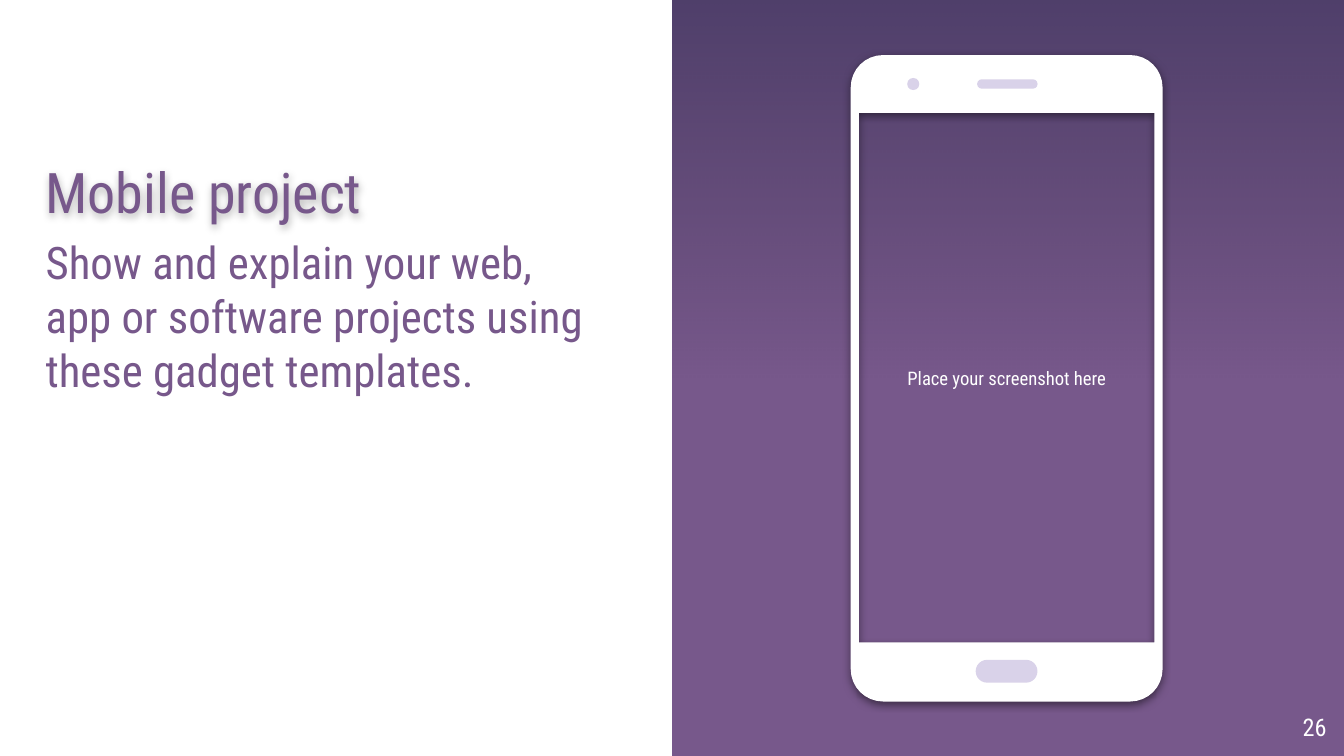
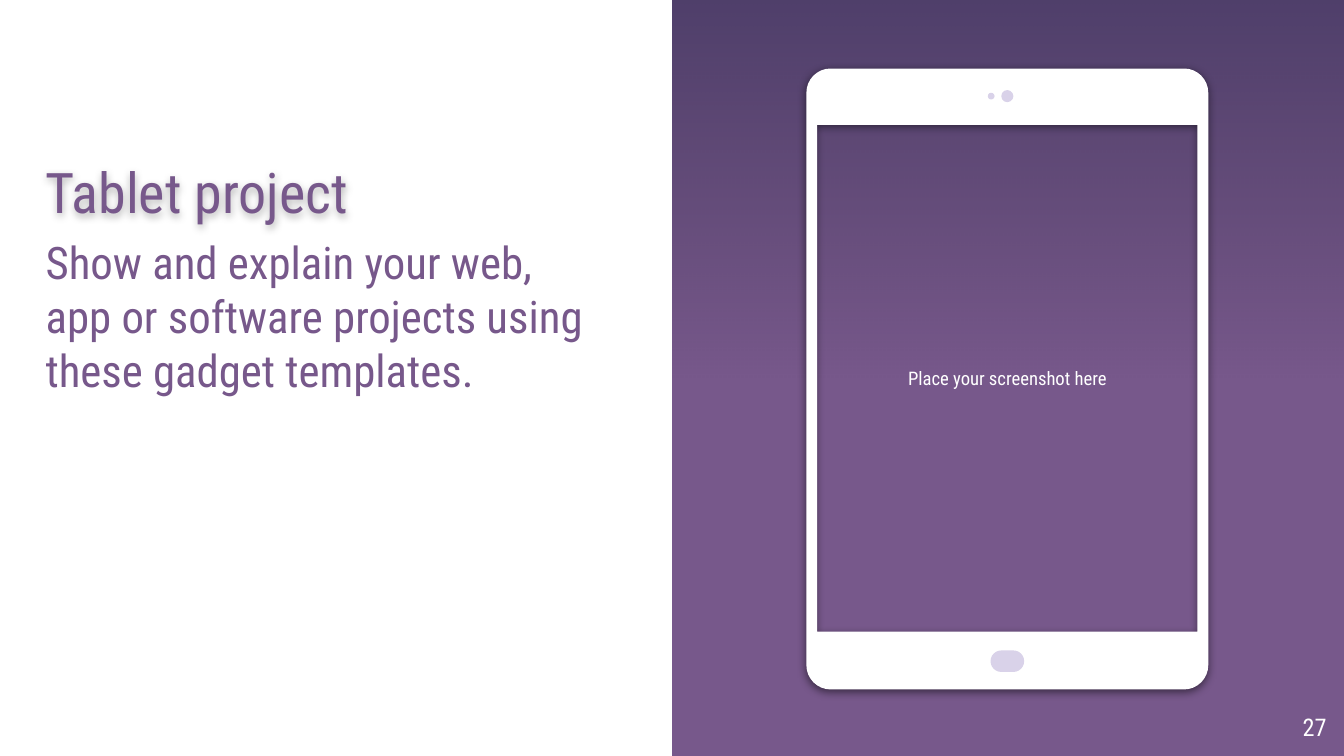
from dataclasses import dataclass
from math import cos, radians, sin

from lxml.etree import SubElement
from pptx import Presentation
from pptx.dml.color import RGBColor
from pptx.enum.shapes import MSO_SHAPE as Preset
from pptx.enum.text import MSO_ANCHOR as Anchor, PP_ALIGN as Align
from pptx.oxml.ns import qn
from pptx.util import Emu, Pt

# Shared grid: square cells of a tenth of an inch
CELL = 91440
COLUMNS, ROWS = 100, 56.25

# Shared style
FONT = "Roboto Condensed"
PURPLE, WHITE, LILAC = "77588B", "FFFFFF", "D9D2E9"
SHADE_TOP, SHADE_BOTTOM = "020F2B", "010C16"
EXPLANATION = ("Show and explain your web, app or software projects "
               "using these gadget templates.")
HINT = "Place your screenshot here"


@dataclass(frozen=True)
class Box:
    """Left column, top row, and the columns and rows covered."""
    column: float
    row: float
    columns: float
    rows: float

    def emu(self) -> tuple[Emu, ...]:
        return tuple(cells(n) for n in
                     (self.column, self.row, self.columns, self.rows))


@dataclass(frozen=True)
class TextStyle:
    size: float
    colour: str
    align: Align = Align.LEFT
    anchor: Anchor = Anchor.TOP
    inset: float = 0
    space_before: float = 0


@dataclass(frozen=True)
class Device:
    case: Box
    corner: float
    screen: Box
    details: tuple[Box, ...]  # button, camera, speaker or sensor


@dataclass(frozen=True)
class Project:
    title: str
    number: int
    device: Device


TITLE_BOX = Box(3.4, 5.3, 41.7, 11.4)
BODY_BOX = Box(3.4, 17.5, 41.7, 33)
NUMBER_BOX = Box(92.7, 51.9, 6, 4.3)
SHADE_BOX = Box(29.4, -0.1, 70.6, 28.3)
PANEL_BOX = Box(-0.1, -0.1, 50.1, 56.4)

TITLE = TextStyle(30, PURPLE, anchor=Anchor.BOTTOM)
BODY = TextStyle(24, PURPLE, space_before=6)
SCREEN_HINT = TextStyle(10, WHITE, Align.CENTER, Anchor.MIDDLE, inset=1)
NUMBER = TextStyle(13, WHITE, Align.RIGHT, Anchor.MIDDLE)

PHONE = Device(
    case=Box(63.3, 4.1, 23.2, 48.1), corner=2.4,
    screen=Box(63.9, 8.4, 22, 39.4),
    details=(Box(72.6, 49.1, 4.6, 1.7), Box(67.5, 5.8, 0.9, 0.9),
             Box(72.7, 5.9, 4.5, 0.7)))
TABLET = Device(
    case=Box(60, 5.1, 29.9, 46.2), corner=1.8,
    screen=Box(60.8, 9.3, 28.3, 37.7),
    details=(Box(73.7, 48.4, 2.5, 1.6), Box(73.5, 6.9, 0.5, 0.5),
             Box(74.5, 6.7, 0.9, 0.9)))

PROJECTS = (Project("Mobile project", 26, PHONE),
            Project("Tablet project", 27, TABLET))


def cells(count: float) -> Emu:
    return Emu(round(count * CELL))


def rgb(colour: str) -> RGBColor:
    return RGBColor.from_string(colour)


def set_alpha(colour_element, percent: float) -> None:
    SubElement(colour_element, qn("a:alpha")).set("val", str(round(percent * 1000)))


def paint(shape, colour: str) -> None:
    """Flat fill with no line and no shadow."""
    shape.fill.solid()
    shape.fill.fore_color.rgb = rgb(colour)
    shape.line.fill.background()
    shape.shadow.inherit = False


def add_soft_shadow(shape, opacity: float) -> None:
    """Blurred black shadow that falls straight down."""
    shape.shadow.inherit = False
    effects = shape._element.spPr.find(qn("a:effectLst"))
    shadow = SubElement(effects, qn("a:outerShdw"), blurRad=str(Pt(4.5)),
                        dist=str(Pt(1.5)), dir="5400000", algn="bl",
                        rotWithShape="0")
    set_alpha(SubElement(shadow, qn("a:srgbClr"), val="000000"), opacity)


def add_text(slide, box: Box, text: str, style: TextStyle):
    holder = slide.shapes.add_textbox(*box.emu())
    frame = holder.text_frame
    frame.text = text
    frame.word_wrap = True
    frame.vertical_anchor = style.anchor
    frame.margin_left = frame.margin_right = cells(style.inset)
    frame.margin_top = frame.margin_bottom = cells(style.inset)
    for paragraph in frame.paragraphs:
        paragraph.alignment = style.align
        paragraph.space_before = Pt(style.space_before)
        for run in paragraph.runs:
            run.font.name = FONT
            run.font.size = Pt(style.size)
            run.font.color.rgb = rgb(style.colour)
    return holder


def add_backdrop(slide) -> None:
    """Purple ground, dark shade at the top, white panel on the left."""
    slide.background.fill.solid()
    slide.background.fill.fore_color.rgb = rgb(PURPLE)

    shade = slide.shapes.add_shape(Preset.RECTANGLE, *SHADE_BOX.emu())
    paint(shade, SHADE_TOP)
    shade.fill.gradient()
    shade.fill.gradient_angle = 270
    fades = ((SHADE_TOP, 34), (SHADE_BOTTOM, 0))
    for stop, (colour, opacity) in zip(shade.fill.gradient_stops, fades):
        stop.color.rgb = rgb(colour)
    colours = shade._element.spPr.iter(qn("a:srgbClr"))
    for element, (_, opacity) in zip(list(colours), fades):
        set_alpha(element, opacity)

    panel = slide.shapes.add_shape(Preset.RECTANGLE, *PANEL_BOX.emu())
    paint(panel, WHITE)


def rounded_outline(box: Box, radius: float, steps: int = 8) -> list[tuple[Emu, Emu]]:
    """Clockwise points of a rounded rectangle, from its top left corner."""
    left, top = box.column + radius, box.row + radius
    right = box.column + box.columns - radius
    bottom = box.row + box.rows - radius
    centres = ((left, top), (right, top), (right, bottom), (left, bottom))
    points = []
    for corner, (x, y) in enumerate(centres):
        for step in range(steps + 1):
            angle = radians(180 + 90 * (corner + step / steps))
            points.append((cells(x + radius * cos(angle)),
                           cells(y + radius * sin(angle))))
    return points


def add_device(slide, device: Device) -> None:
    # Case with the screen cut out
    start, *rest = rounded_outline(device.case, device.corner)
    outline = slide.shapes.build_freeform(*start)
    outline.add_line_segments(rest, close=True)
    left, top, width, height = device.screen.emu()
    outline.move_to(left, top)
    outline.add_line_segments([(left, top + height),
                               (left + width, top + height),
                               (left + width, top)], close=True)
    case = outline.convert_to_shape()
    paint(case, WHITE)
    add_soft_shadow(case, 50)

    # Button, camera and speaker, all with fully round ends
    for box in device.details:
        detail = slide.shapes.add_shape(Preset.ROUNDED_RECTANGLE, *box.emu())
        detail.adjustments[0] = 0.5
        paint(detail, LILAC)


def add_project(deck, project: Project) -> None:
    slide = deck.slides.add_slide(deck.slide_layouts[6])
    add_backdrop(slide)
    add_text(slide, BODY_BOX, EXPLANATION, BODY)
    add_text(slide, project.device.screen, HINT, SCREEN_HINT)
    add_text(slide, NUMBER_BOX, str(project.number), NUMBER)
    add_device(slide, project.device)
    heading = add_text(slide, TITLE_BOX, project.title, TITLE)
    add_soft_shadow(heading, 30)


deck = Presentation()
deck.slide_width, deck.slide_height = cells(COLUMNS), cells(ROWS)
for project in PROJECTS:
    add_project(deck, project)
deck.save("out.pptx")
